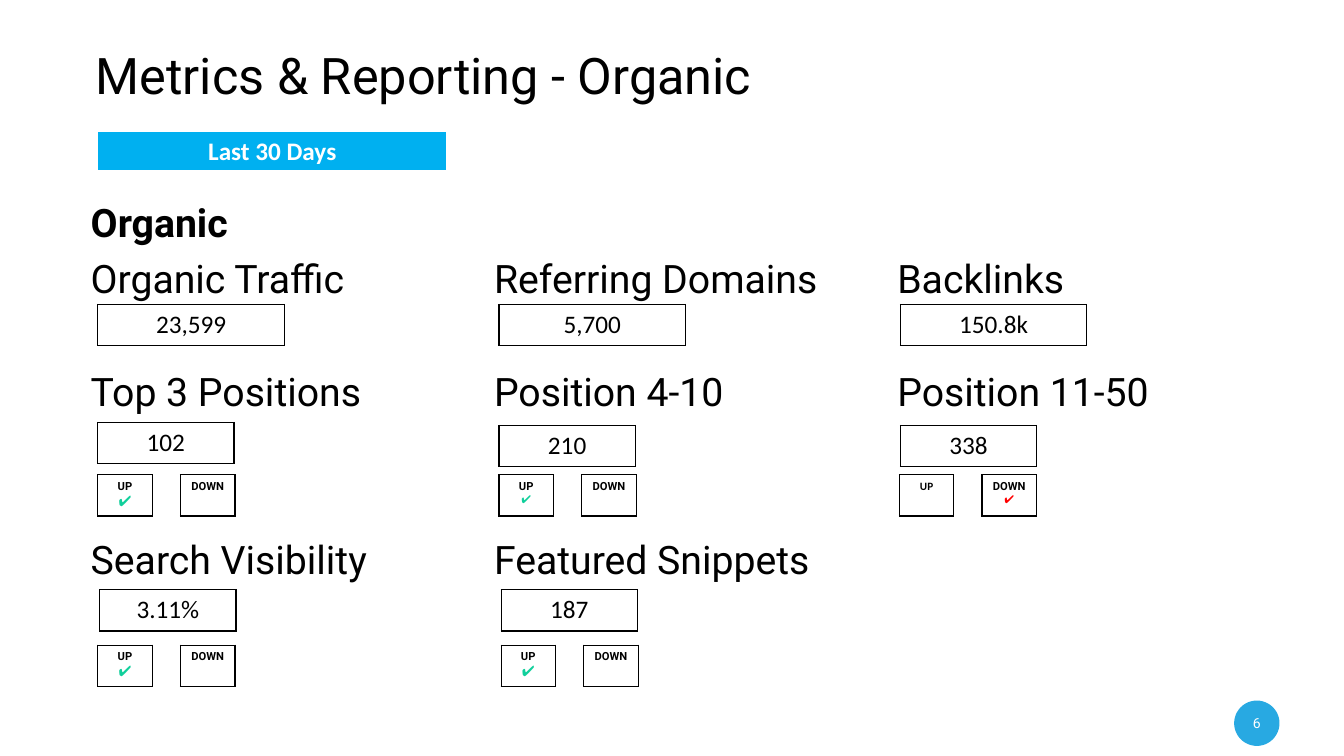
from dataclasses import dataclass

from lxml import etree
from pptx import Presentation
from pptx.dml.color import RGBColor
from pptx.enum.shapes import MSO_SHAPE
from pptx.enum.text import MSO_ANCHOR, MSO_AUTO_SIZE, PP_ALIGN
from pptx.oxml.ns import qn
from pptx.util import Inches, Pt

LEFT, CENTER = PP_ALIGN.LEFT, PP_ALIGN.CENTER
TOP, MIDDLE = MSO_ANCHOR.TOP, MSO_ANCHOR.MIDDLE
NO_FIT = MSO_AUTO_SIZE.NONE
ELLIPSE = MSO_SHAPE.OVAL

BLACK = RGBColor(0x00, 0x00, 0x00)
WHITE = RGBColor(0xFF, 0xFF, 0xFF)
BANNER_BLUE = RGBColor(0x00, 0xB0, 0xF0)
BADGE_BLUE = RGBColor(0x28, 0xA9, 0xE2)
GREEN = RGBColor(0x10, 0xCF, 0x9B)
RED = RGBColor(0xFF, 0x00, 0x00)

HEADING, NUMERIC = "Roboto", "Calibri"
COL_LEFT, COL_PITCH = 0.97, 3.98
TAB_PITCH = 4
BOX_H, VALUE_W, WIDE_VALUE_W = 0.41, 1.35, 1.85
TREND_W, TREND_PITCH = 0.54, 0.82


@dataclass
class Text:
    text: str
    size: float
    font: str = HEADING
    color: RGBColor = BLACK
    bold: bool = False


@dataclass
class Trend:
    up: bool
    check_size: float = 8
    up_font: str = HEADING
    shift: float = 0


@dataclass
class Metric:
    label: str
    value: str
    top: float
    trend: Trend | None = None
    shift: float = 0


@dataclass
class MetricRow:
    space_before: float
    trend_top: float
    metrics: list[Metric]


ROWS = [
    MetricRow(10, 0, [
        Metric("Organic Traffic", "23,599", 3.02),
        Metric("Referring Domains", "5,700", 3.02),
        Metric("Backlinks", "150.8k", 3.02),
    ]),
    MetricRow(50, 4.71, [
        Metric("Top 3 Positions", "102", 4.19, Trend(True, 10.5)),
        Metric("Position 4-10", "210", 4.22, Trend(True)),
        Metric("Position 11-50", "338", 4.22,
               Trend(False, up_font=NUMERIC, shift=-0.01)),
    ]),
    MetricRow(90, 6.4, [
        Metric("Search Visibility", "3.11%", 5.85, Trend(True, 10.5), 0.02),
        Metric("Featured Snippets", "187", 5.85,
               Trend(True, 10.5, shift=0.02), 0.02),
    ]),
]


def add_run(p, item: Text) -> None:
    r = p.add_run()
    r.text = item.text
    r.font.size = Pt(item.size)
    r.font.name = item.font
    r.font.bold = item.bold
    r.font.color.rgb = item.color


def set_borders(cell, color: RGBColor) -> None:
    tc_pr = cell._tc.get_or_add_tcPr()
    for i, side in enumerate(("lnL", "lnR", "lnT", "lnB")):
        ln = etree.Element(qn(f"a:{side}"), w=str(Pt(1)))
        fill = etree.SubElement(ln, qn("a:solidFill"))
        etree.SubElement(fill, qn("a:srgbClr"), val=str(color))
        tc_pr.insert(i, ln)


def add_box(slide, left: float, top: float, width: float, lines: list[Text],
            height: float = BOX_H, fill: RGBColor | None = None,
            border: RGBColor = BLACK) -> None:
    """Add a one-cell table with one centred paragraph per line."""
    tbl = slide.shapes.add_table(1, 1, Inches(left), Inches(top),
                                 Inches(width), Inches(height)).table
    tbl.first_row = tbl.horz_banding = False
    cell = tbl.cell(0, 0)
    cell.margin_left = cell.margin_right = Inches(0.05)
    cell.margin_bottom = Inches(0)
    if fill is None:
        cell.fill.background()
    else:
        cell.fill.solid()
        cell.fill.fore_color.rgb = fill
    set_borders(cell, border)
    tf = cell.text_frame
    for i, item in enumerate(lines):
        p = tf.add_paragraph() if i else tf.paragraphs[0]
        p.alignment = CENTER
        add_run(p, item)


def add_trend(slide, left: float, top: float, trend: Trend) -> None:
    up = [Text("UP", 8, trend.up_font, bold=True)]
    down = [Text("DOWN", 8, bold=True)]
    checked, color = (up, GREEN) if trend.up else (down, RED)
    checked.append(Text("✔", trend.check_size, color=color, bold=True))
    for i, lines in enumerate((up, down)):
        add_box(slide, left + i * TREND_PITCH, top, TREND_W, lines)


def place(sp, left: float, top: float, width: float, height: float) -> None:
    sp.left, sp.top = Inches(left), Inches(top)
    sp.width, sp.height = Inches(width), Inches(height)


def add_heading(p, item: Text, space_before: float) -> None:
    p.alignment = LEFT
    p.line_spacing = 0.9
    p.space_before = Pt(space_before)
    p_pr = p._p.get_or_add_pPr()
    p_pr.set("marL", "0")
    p_pr.set("indent", "0")
    # One default tab per metric column
    p_pr.set("defTabSz", str(Inches(TAB_PITCH)))
    etree.SubElement(p_pr, qn("a:buNone"))
    add_run(p, item)


def main() -> None:
    prs = Presentation()
    prs.slide_width, prs.slide_height = Inches(13.33), Inches(7.5)
    slide = prs.slides.add_slide(prs.slide_layouts[1])

    # Title
    title = slide.shapes.title
    place(title, 0.85, 0.38, 11.62, 0.71)
    tf = title.text_frame
    tf.auto_size, tf.vertical_anchor = NO_FIT, MIDDLE
    tf.paragraphs[0].alignment = LEFT
    add_run(tf.paragraphs[0], Text("Metrics & Reporting - Organic", 36))

    # Section and metric headings
    body = slide.placeholders[1]
    place(body, 0.8, 1.97, 12.22, 5.18)
    tf = body.text_frame
    tf.auto_size, tf.vertical_anchor = NO_FIT, TOP
    add_heading(tf.paragraphs[0], Text("Organic", 28, bold=True), 10)
    for row in ROWS:
        labels = "\t".join(m.label for m in row.metrics)
        add_heading(tf.add_paragraph(), Text(labels, 28), row.space_before)

    # Period banner
    add_box(slide, COL_LEFT, 1.3, 3.46,
            [Text("Last 30 Days", 18, NUMERIC, WHITE, True)],
            0.39, BANNER_BLUE, WHITE)

    # Values and trends
    for row in ROWS:
        for col, m in enumerate(row.metrics):
            left = COL_LEFT + col * COL_PITCH
            width = VALUE_W if m.trend else WIDE_VALUE_W
            add_box(slide, left + m.shift, m.top, width,
                    [Text(m.value, 18, NUMERIC)])
            if m.trend:
                add_trend(slide, left + m.trend.shift, row.trend_top, m.trend)

    # Page number badge
    badge = slide.shapes.add_shape(ELLIPSE, Inches(12.24), Inches(6.95),
                                   Inches(0.45), Inches(0.45))
    badge.shadow.inherit = False
    badge.fill.solid()
    badge.fill.fore_color.rgb = BADGE_BLUE
    badge.line.fill.background()
    tf = badge.text_frame
    tf.margin_left = tf.margin_right = tf.margin_top = tf.margin_bottom = 0
    tf.vertical_anchor = MIDDLE
    tf.paragraphs[0].alignment = CENTER
    add_run(tf.paragraphs[0], Text("6", 10, color=WHITE))

    prs.save("out.pptx")


if __name__ == "__main__":
    main()
